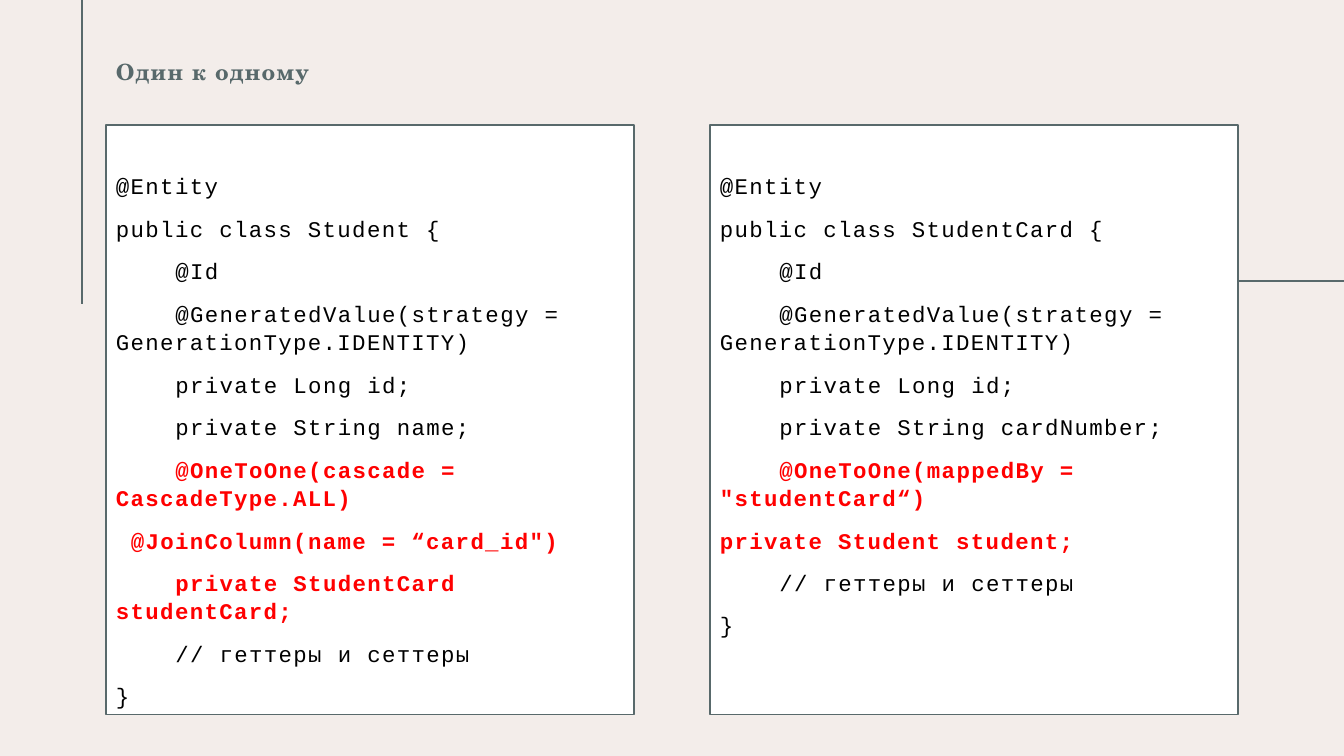
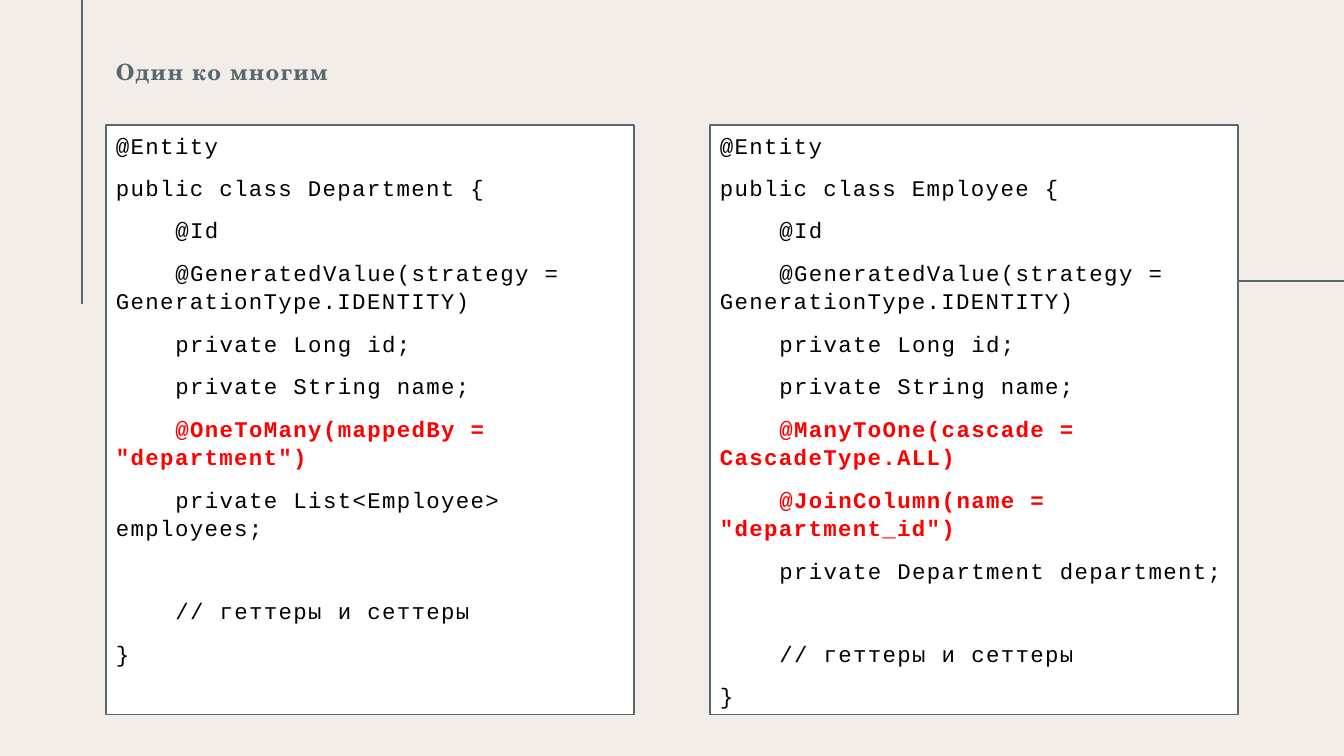
"""Build two slides that compare JPA entity listings side by side."""
import dataclasses

import pptx
import pptx.dml.color
import pptx.enum.text
import pptx.oxml
import pptx.util
from lxml import etree


@dataclasses.dataclass(frozen=True)
class Theme:
    """Colours, fonts, type sizes and grid of the deck."""
    ground: str = "F3EDEA"
    accent: str = "58696B"
    panel: str = "FFFFFF"
    code: str = "000000"
    strong: str = "FF0000"
    title_font: str = "TeX Gyre Schola"
    code_font: str = "Courier New"
    size: float = 16
    tracking: float = 1
    rule_width: float = 1.5
    panel_width: float = 1
    paragraph_gap: float = 10
    line_spacing: float = 1.06
    blank_line: float = 29.2
    character: float = 10.6
    width: float = 13.33
    height: float = 7.5
    left: float = 1.05
    top: float = 1.24
    column: float = 5.24
    gutter: float = 0.75
    row: float = 5.85


THEME = Theme()
RULES = [(0.81, 0, 0.81, 3.02), (10.16, 2.79, THEME.width, 2.79)]
SLIDES = [
    ("Один к одному", ["""
@Entity
public class Student {
    @Id
    @GeneratedValue(strategy = GenerationType.IDENTITY)
    private Long id;
    private String name;
*    @OneToOne(cascade = CascadeType.ALL)
* @JoinColumn(name = “card_id")
*    private StudentCard studentCard;
    // геттеры и сеттеры
}""", """
@Entity
public class StudentCard {
    @Id
    @GeneratedValue(strategy = GenerationType.IDENTITY)
    private Long id;
    private String cardNumber;
*    @OneToOne(mappedBy = "studentCard“)
*private Student student;
    // геттеры и сеттеры
}"""]),
    ("Один ко многим", ["""@Entity
public class Department {
    @Id
    @GeneratedValue(strategy = GenerationType.IDENTITY)
    private Long id;
    private String name;
*    @OneToMany(mappedBy = "department")
    private List<Employee> employees;

    // геттеры и сеттеры
}""", """@Entity
public class Employee {
    @Id
    @GeneratedValue(strategy = GenerationType.IDENTITY)
    private Long id;
    private String name;
*    @ManyToOne(cascade = CascadeType.ALL)
*    @JoinColumn(name = "department_id")
    private Department department;

    // геттеры и сеттеры
}"""]),
]


def rgb(value):
    """Turn a hex string into a colour."""
    return pptx.dml.color.RGBColor.from_string(value)


def place(box, left, top, width, height):
    """Move and size a box, in inches."""
    box.left, box.top, box.width, box.height = map(
        pptx.util.Inches, (left, top, width, height))


def write(para, text, *, font, color, bold=False, indent=0, before=0, after=0, spacing=1.0):
    """Fill a paragraph with one formatted span."""
    para.alignment = pptx.enum.text.PP_ALIGN.LEFT
    para.line_spacing = spacing
    para.space_before = pptx.util.Pt(before)
    para.space_after = pptx.util.Pt(after)
    properties = para._p.get_or_add_pPr()
    properties.set("marL", "0")
    properties.set("indent", str(int(pptx.util.Pt(indent))))
    etree.SubElement(properties, pptx.oxml.ns.qn("a:buNone"))
    span = para.add_run()
    span.text = text
    span.font.name = font
    span.font.size = pptx.util.Pt(THEME.size)
    span.font.bold = bold
    span.font.color.rgb = rgb(color)
    span._r.get_or_add_rPr().set("spc", str(int(THEME.tracking * 100)))


def prepare_frame(box, anchor):
    """Give a box wrapped text of fixed size."""
    frame = box.text_frame
    frame.word_wrap = True
    frame.auto_size = pptx.enum.text.MSO_AUTO_SIZE.NONE
    frame.vertical_anchor = anchor
    return frame


def add_title(page, text):
    """Write the slide title."""
    box = page.shapes.title
    place(box, THEME.left, 0.56, 3.57, 0.36)
    frame = prepare_frame(box, pptx.enum.text.MSO_ANCHOR.MIDDLE)
    write(frame.paragraphs[0], text, font=THEME.title_font, color=THEME.accent,
          bold=True, spacing=0.8)


def add_listing(page, column, source):
    """Fill a panel with code, where a star marks an emphasised line."""
    box = page.placeholders[column + 1]
    place(box, THEME.left + column * (THEME.column + THEME.gutter), THEME.top,
          THEME.column, THEME.row)
    box.fill.solid()
    box.fill.fore_color.rgb = rgb(THEME.panel)
    box.line.color.rgb = rgb(THEME.accent)
    box.line.width = pptx.util.Pt(THEME.panel_width)
    frame = prepare_frame(box, pptx.enum.text.MSO_ANCHOR.TOP)
    para, gap = None, 0
    for line in source.split("\n"):
        if not line:
            gap += THEME.blank_line
            continue
        if para is None:
            para = frame.paragraphs[0]
            frame.margin_top = pptx.util.Inches(0.05) + pptx.util.Pt(gap)
            gap = 0
        else:
            para = frame.add_paragraph()
        strong = line.startswith("*")
        code = line.removeprefix("*")
        text = code.lstrip()
        write(para, text, font=THEME.code_font, bold=strong,
              color=THEME.strong if strong else THEME.code,
              indent=(len(code) - len(text)) * THEME.character,
              before=gap, after=THEME.paragraph_gap, spacing=THEME.line_spacing)
        gap = 0


def add_rule(page, ends):
    """Draw a thin accent line."""
    rule = page.shapes.add_connector(
        pptx.enum.shapes.MSO_CONNECTOR.STRAIGHT, *map(pptx.util.Inches, ends))
    rule.line.color.rgb = rgb(THEME.accent)
    rule.line.width = pptx.util.Pt(THEME.rule_width)
    etree.SubElement(rule._element.spPr, pptx.oxml.ns.qn("a:effectLst"))
    return rule


def style_layout(layout, page):
    """Give the layout its background and its rules, drawn by way of a page."""
    layout.background.fill.solid()
    layout.background.fill.fore_color.rgb = rgb(THEME.ground)
    for ends in RULES:
        layout.shapes._spTree.append(add_rule(page, ends)._element)


def main():
    """Build and save the deck."""
    deck = pptx.Presentation()
    deck.slide_width = pptx.util.Inches(THEME.width)
    deck.slide_height = pptx.util.Inches(THEME.height)
    layout = deck.slide_layouts.get_by_name("Two Content")
    for title, listings in SLIDES:
        page = deck.slides.add_slide(layout)
        add_title(page, title)
        for column, source in enumerate(listings):
            add_listing(page, column, source)
    style_layout(layout, deck.slides[0])
    deck.save("out.pptx")


if __name__ == "__main__":
    main()
